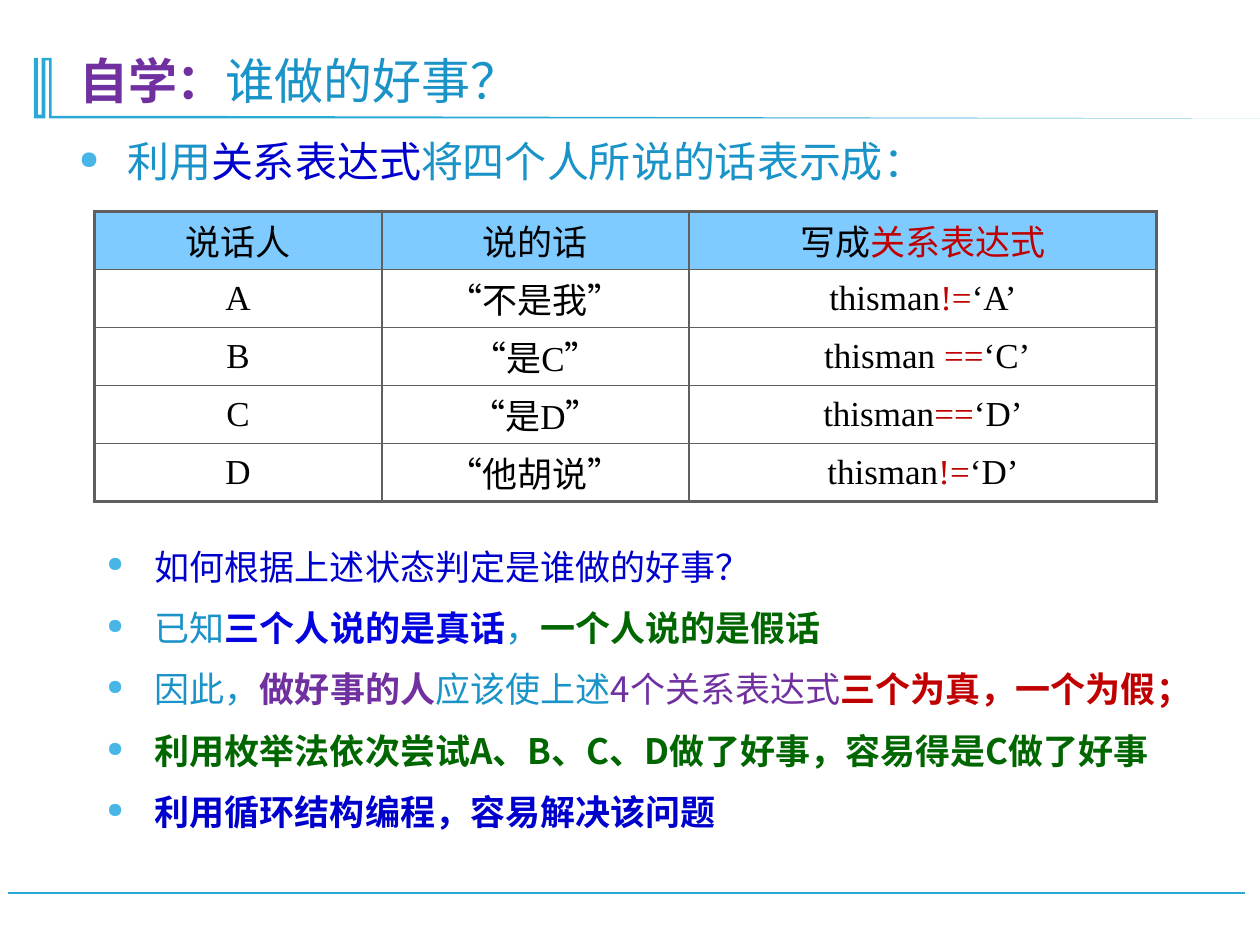
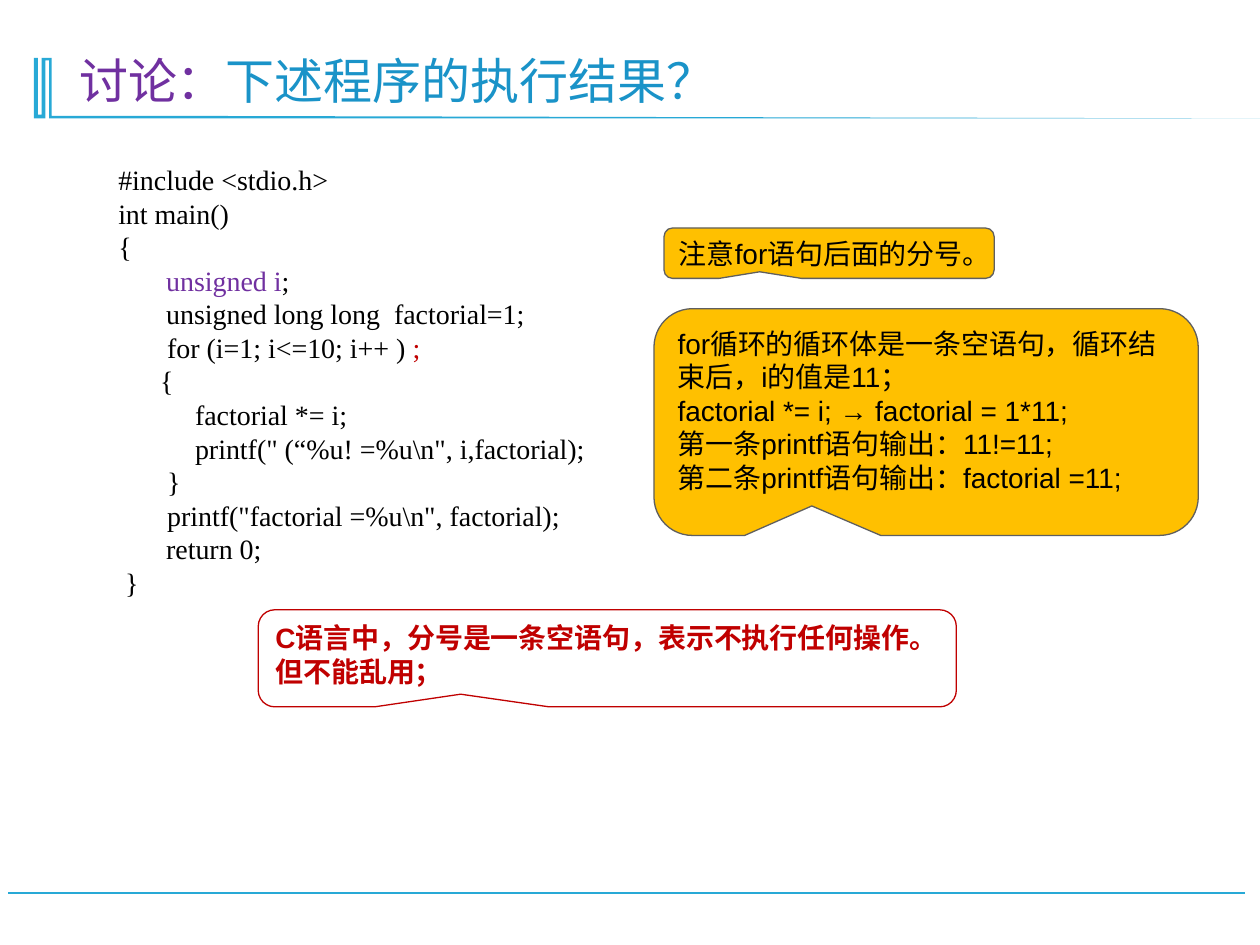
from dataclasses import dataclass
from typing import NamedTuple

from lxml import etree
from pptx import Presentation
from pptx import util as u
from pptx.dml.color import RGBColor
from pptx.enum import shapes, text
from pptx.oxml import ns

PX = 9144  # EMU in one px, 100 px to the inch


@dataclass(frozen=True)
class Theme:
    sky: str = "1A93C8"
    band: str = "28A9D6"
    dot: str = "47B6E7"
    blue: str = "0000CC"
    royal: str = "0303DF"
    purple: str = "7030A0"
    green: str = "006600"
    red: str = "C00000"
    black: str = "000000"
    grey: str = "5F5F5F"
    amber: str = "FFC000"
    head: str = "0099FF"
    serif: str = "Times New Roman"
    sans: str = "Arial"
    cjk: str = "Noto Sans CJK SC"
    title: int = 28
    lead: int = 24
    body: int = 20
    code: int = 16


T = Theme()


class Box(NamedTuple):
    x: int
    y: int
    w: int
    h: int

    def emu(self) -> list[int]:
        return [v * PX for v in self]


class Span(NamedTuple):
    words: str
    color: str = T.black
    bold: bool = False


class Note(NamedTuple):
    box: Box
    lines: list[list[Span]]
    fill: str | None = T.amber
    edge: str = T.grey


def rgb(color: str) -> RGBColor:
    return RGBColor.from_string(color)


def node(up, tag: str, **attrs):
    return etree.SubElement(up, ns.qn(tag), attrs)


def bullet(props) -> None:
    node(node(props, "a:buClr"), "a:srgbClr", val=T.dot)
    node(props, "a:buSzPct", val="60000")
    node(props, "a:buChar", char="●")


def write(frame, lines: list[list[Span]], *, size: int, font: str = T.serif,
          pitch: float | None = None, gap: float = 0, left: int = 0,
          hang: int = 0, dots: bool = False, align=text.PP_ALIGN.LEFT,
          anchor=text.MSO_ANCHOR.TOP) -> None:
    """Fill a text frame; pitch is the line height in ems, gap in points."""
    frame.word_wrap = True
    frame.vertical_anchor = anchor
    for i, spans in enumerate(lines):
        para = frame.add_paragraph() if i else frame.paragraphs[0]
        props = para._p.get_or_add_pPr()
        if left:
            props.set("marL", str(left * PX))
            props.set("indent", str(-hang * PX))
        if dots:
            bullet(props)
        para.alignment = align
        if pitch:
            para.line_spacing = u.Pt(round(size * pitch, 1))
        if i and gap:
            para.space_before = u.Pt(gap)
        for span in spans:
            run = para.add_run()
            run.text = span.words
            run.font.size = u.Pt(size)
            run.font.bold = span.bold
            run.font.color.rgb = rgb(span.color)
            run.font.name = font
            node(run._r.get_or_add_rPr(), "a:ea", typeface=T.cjk)


def label(slide, box: Box, lines: list[list[Span]], **fmt) -> None:
    write(slide.shapes.add_textbox(*box.emu()).text_frame, lines, **fmt)


def base(deck, title: list[Span]):
    """Add a slide with the foot rule, the corner mark and its title."""
    slide = deck.slides.add_slide(deck.slide_layouts[6])
    rule = slide.shapes.add_connector(
        shapes.MSO_CONNECTOR.STRAIGHT, 988 * PX, 709 * PX, 6 * PX, 709 * PX)
    rule.line.color.rgb = rgb(T.band)
    rule.line.width = u.Pt(1.25)
    node(rule._element.spPr, "a:effectLst")

    edge = [(41, 92), (140, 92), (1000, 94), (39, 94), (39, 48), (36, 48),
            (36, 94), (27, 94), (27, 46), (30, 46), (30, 91), (33, 91),
            (33, 46)]
    pen = slide.shapes.build_freeform(41, 46, scale=PX)
    pen.add_line_segments(edge)
    mark = pen.convert_to_shape()
    mark.shadow.inherit = False
    mark.fill.solid()
    mark.fill.fore_color.rgb = rgb(T.band)
    mark.line.fill.background()

    label(slide, Box(53, 28, 885, 64), [title], size=T.title, pitch=1.08,
          anchor=text.MSO_ANCHOR.BOTTOM)
    return slide


def border(cell, ends: dict[str, bool]) -> None:
    """Draw cell sides, thick where the side is on the table's rim."""
    props = cell._tc.get_or_add_tcPr()
    for side, rim in ends.items():
        line = node(props, f"a:ln{side}", w=str(u.Pt(2.25 if rim else 1)))
        node(node(line, "a:solidFill"), "a:srgbClr", val=T.grey)


def grid(slide, rows: list[list[list[Span]]]) -> None:
    wide = [228, 244, 371]
    high = 46
    box = Box(75, 168, sum(wide), high * len(rows))
    table = slide.shapes.add_table(len(rows), len(wide), *box.emu()).table
    table.first_row = table.horz_banding = False
    for col, w in zip(table.columns, wide):
        col.width = w * PX
    for r, row in enumerate(rows):
        table.rows[r].height = high * PX
        for c, spans in enumerate(row):
            cell = table.cell(r, c)
            cell.margin_left = cell.margin_right = 0
            cell.margin_top = cell.margin_bottom = 0
            border(cell, {"L": c == 0, "R": c == len(wide) - 1,
                          "T": r == 0, "B": r == len(rows) - 1})
            if r:
                cell.fill.background()
            else:
                cell.fill.solid()
                cell.fill.fore_color.rgb = rgb(T.head)
                tint = cell._tc.tcPr.find(".//" + ns.qn("a:solidFill")
                                          + "/" + ns.qn("a:srgbClr")
                                          + f"[@val='{T.head}']")
                node(tint, "a:alpha", val="50000")
            write(cell.text_frame, [spans], size=T.body,
                  align=text.PP_ALIGN.CENTER)
            cell.vertical_anchor = text.MSO_ANCHOR.MIDDLE


def bubble(slide, note: Note) -> None:
    shape = slide.shapes.add_shape(
        shapes.MSO_SHAPE.ROUNDED_RECTANGULAR_CALLOUT, *note.box.emu())
    for i, val in enumerate((-0.21, 0.37, 0.17)):
        shape.adjustments[i] = val
    shape.shadow.inherit = False
    if note.fill:
        shape.fill.solid()
        shape.fill.fore_color.rgb = rgb(note.fill)
    else:
        shape.fill.background()
    shape.line.color.rgb = rgb(note.edge)
    shape.line.width = u.Pt(0.75)
    write(shape.text_frame, note.lines, size=T.code, font=T.sans, pitch=1.2)


def claim(who: str, said: str, sign: str, name: str,
          var: str = "thisman") -> list[list[Span]]:
    return [[Span(who)], [Span(said)],
            [Span(var), Span(sign, T.red), Span(f"‘{name}’")]]


def deed(deck) -> None:
    slide = base(deck, [Span("自学：", T.purple, True),
                        Span("谁做的好事？", T.sky)])
    look = dict(font=T.cjk, pitch=1.08, left=38, hang=38, dots=True)
    label(slide, Box(53, 107, 885, 53),
          [[Span("利用", T.sky), Span("关系表达式", T.blue),
            Span("将四个人所说的话表示成：", T.sky)]], size=T.lead, **look)
    grid(slide, [
        [[Span("说话人")], [Span("说的话")],
         [Span("写成"), Span("关系表达式", T.red)]],
        claim("A", "“不是我”", "!=", "A"),
        claim("B", "“是C”", "==", "C", " thisman "),
        claim("C", "“是D”", "==", "D"),
        claim("D", "“他胡说”", "!=", "D"),
    ])
    label(slide, Box(75, 431, 903, 242), [
        [Span("如何根据上述状态判定是谁做的好事？", T.blue)],
        [Span("已知", T.sky), Span("三个人说的是真话", T.royal, True),
         Span("，", T.sky), Span("一个人说的是假话", T.green, True)],
        [Span("因此，", T.sky), Span("做好事的人", T.purple, True),
         Span("应该使上述", T.sky), Span("4个关系表达式", T.purple),
         Span("三个为真，一个为假；", T.red, True)],
        [Span("利用枚举法依次尝试A、B、C、D做了好事，容易得是C做了好事",
              T.green, True)],
        [Span("利用循环结构编程，容易解决该问题", T.blue, True)],
    ], size=T.body, gap=13.5, **look)


def loop(deck) -> None:
    slide = base(deck, [Span("讨论：", T.purple),
                        Span("下述程序的执行结果？", T.sky)])
    label(slide, Box(53, 124, 448, 585), [
        [Span("#include <stdio.h>")],
        [Span("int main()")],
        [Span("{")],
        [Span("\t"), Span("unsigned i", T.purple), Span(";")],
        [Span("\tunsigned long long  factorial=1;")],
        [Span("       for (i=1; i<=10; i++ ) "), Span(";", T.red)],
        [Span("      {")],
        [Span("           factorial *= i;")],
        [Span("           printf(\" (“%u! =%u\\n\", i,factorial);")],
        [Span("       }")],
        [Span("       printf(\"factorial =%u\\n\", factorial);")],
        [Span("\treturn 0;")],
        [Span(" }")],
    ], size=T.code, pitch=1.2, left=69, hang=38)
    notes = [
        Note(Box(527, 181, 262, 40), [[Span("注意for语句后面的分号。")]]),
        Note(Box(519, 245, 432, 180), [
            [Span("for循环的循环体是一条空语句，循环结束后，i的值是11；")],
            [Span("factorial *= i; → factorial = 1*11;")],
            [Span("第一条printf语句输出：11!=11;")],
            [Span("第二条printf语句输出：factorial =11;")]]),
        Note(Box(205, 484, 554, 77), [
            [Span("C语言中，分号是一条空语句，表示不执行任何操作。",
                  T.red, True)],
            [Span("但不能乱用；", T.red, True)]], None, T.red),
    ]
    for note in notes:
        bubble(slide, note)


def main() -> None:
    deck = Presentation()
    deck.slide_width, deck.slide_height = 1000 * PX, 750 * PX
    deed(deck)
    loop(deck)
    deck.save("out.pptx")


if __name__ == "__main__":
    main()
